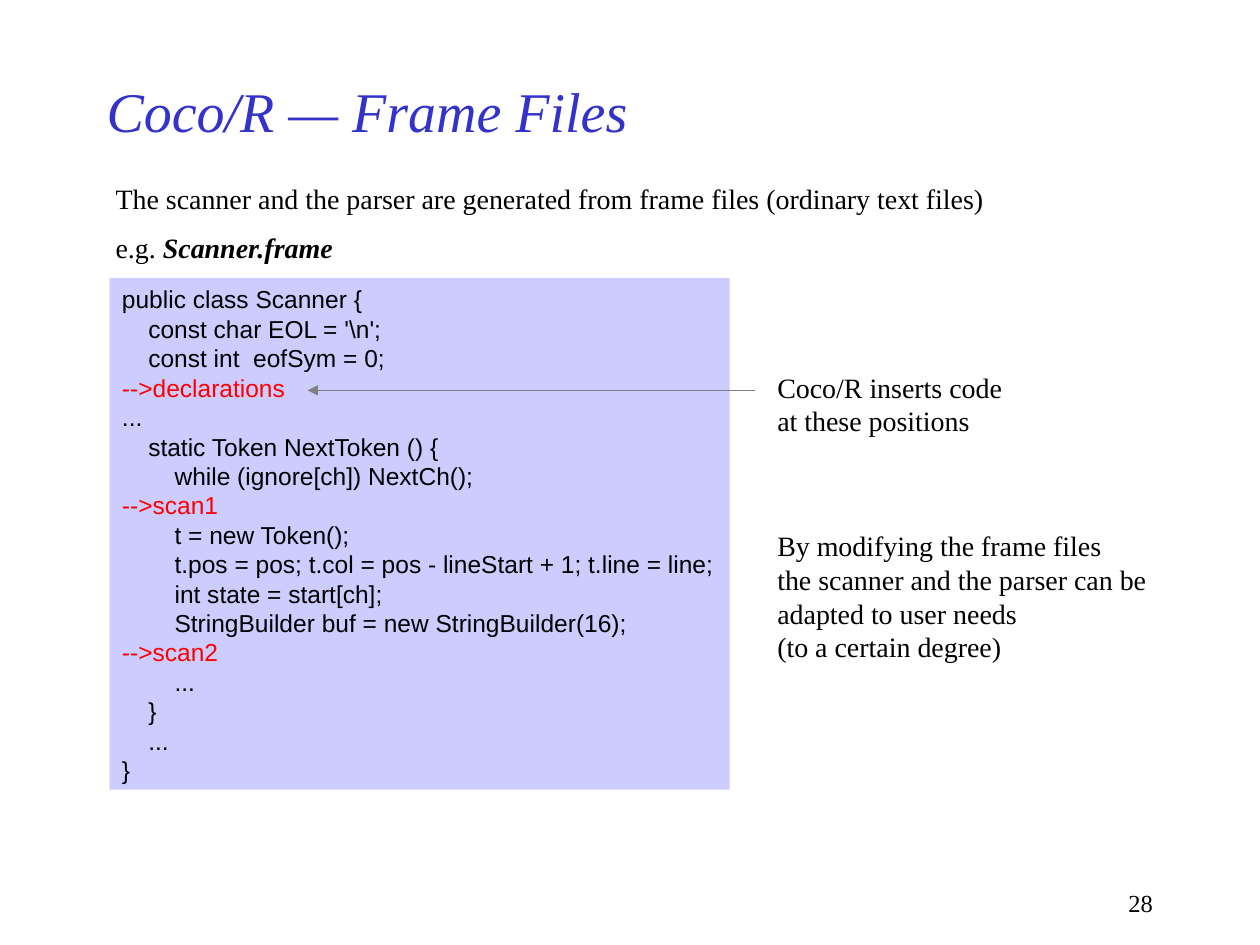
from lxml.etree import SubElement
from pptx import Presentation
from pptx.dml.color import RGBColor
from pptx.enum.shapes import MSO_CONNECTOR, MSO_SHAPE
from pptx.enum.text import MSO_ANCHOR, PP_ALIGN
from pptx.oxml.ns import qn
from pptx.util import Cm, Pt

BLACK = RGBColor(0x00, 0x00, 0x00)
BLUE = RGBColor(0x33, 0x33, 0xCC)
LAVENDER = RGBColor(0xCC, 0xCC, 0xFF)
RED = RGBColor(0xFF, 0x00, 0x00)
GRAY = RGBColor(0x80, 0x80, 0x80)
SERIF = "Times New Roman"
SANS = "Arial"

CODE = r"""public class Scanner {
	const char EOL = '\n';
	const int  eofSym = 0;
-->declarations
...
	static Token NextToken () {
		while (ignore[ch]) NextCh();
-->scan1
		t = new Token();
		t.pos = pos; t.col = pos - lineStart + 1; t.line = line; 
		int state = start[ch];
		StringBuilder buf = new StringBuilder(16);
-->scan2
		...
	}
	...
}""".split("\n")


def style(para, size, color=BLACK, name=SERIF):
    font = para.font
    font.size, font.name, font.color.rgb = Pt(size), name, color


def add_lines(frame, lines):
    """Fill a frame with one paragraph per line and return the paragraphs."""
    for index, line in enumerate(lines):
        para = frame.paragraphs[0] if index == 0 else frame.add_paragraph()
        para.alignment = PP_ALIGN.LEFT
        para.add_run().text = line
    return frame.paragraphs


def add_text(page, left, top, width, height, lines, size=16, color=BLACK, wrap=False):
    box = page.shapes.add_textbox(left, top, width, height)
    box.text_frame.word_wrap = wrap
    for para in add_lines(box.text_frame, lines):
        style(para, size, color)
    return box.text_frame


def add_title(page, left, top, width, height):
    frame = add_text(page, left, top, width, height,
                     ["Coco/R — Frame Files"], 32, BLUE, wrap=True)
    frame.vertical_anchor = MSO_ANCHOR.MIDDLE
    frame.paragraphs[0].font.italic = True


def add_intro(page, left, top):
    add_text(page, left, top, Cm(18.11), Cm(0.94),
             ["The scanner and the parser are generated from frame files (ordinary text files)"])
    example = add_text(page, left, top + Cm(0.99), Cm(4.93), Cm(0.94), ["e.g. "])
    span = example.paragraphs[0].add_run()
    span.text = "Scanner.frame"
    span.font.bold = span.font.italic = True


def add_code(page, left, top, width, height):
    box = page.shapes.add_shape(MSO_SHAPE.RECTANGLE, left, top, width, height)
    box.shadow.inherit = False
    box.fill.solid()
    box.fill.fore_color.rgb = LAVENDER
    box.line.fill.background()
    frame = box.text_frame
    frame.word_wrap = False
    frame.vertical_anchor = MSO_ANCHOR.TOP
    for para, line in zip(add_lines(frame, CODE), CODE):
        # Tab stops at equal steps for the code indents
        tabs = SubElement(para._p.get_or_add_pPr(), qn("a:tabLst"))
        for step in range(1, 5):
            SubElement(tabs, qn("a:tab"), pos=str(Cm(0.53) * step), algn="l")
        style(para, 14, RED if line.startswith("-->") else BLACK, SANS)


def add_notes(page, left, top):
    """Two remarks, with an arrow from the first one into the code."""
    add_text(page, left, top, Cm(5.05), Cm(1.63),
             ["Coco/R inserts code", "at these positions"])
    add_text(page, left, top + Cm(3.2), Cm(7.98), Cm(2.97),
             ["By modifying the frame files", "the scanner and the parser can be",
              "adapted to user needs ", "(to a certain degree)"])
    height = top + Cm(0.53)
    arrow = page.shapes.add_connector(MSO_CONNECTOR.STRAIGHT, left - Cm(0.2), height,
                                      left - Cm(9.22), height)
    arrow.line.color.rgb = GRAY
    arrow.line.width = Pt(0.75)
    SubElement(arrow.line._get_or_add_ln(), qn("a:tailEnd"), type="triangle")
    SubElement(arrow._element.spPr, qn("a:effectLst"))


def add_page_number(page, left, top, width, height):
    frame = add_text(page, left, top, width, height, ["28"], 14, wrap=True)
    frame.paragraphs[0].alignment = PP_ALIGN.RIGHT


deck = Presentation()
deck.slide_width, deck.slide_height = Cm(25.4), Cm(19.05)
page = deck.slides.add_slide(deck.slide_layouts[6])

add_title(page, Cm(1.9), Cm(1.27), Cm(19.05), Cm(1.9))
add_intro(page, Cm(2.08), Cm(3.53))
add_code(page, Cm(2.21), Cm(5.61), Cm(12.5), Cm(10.31))
add_notes(page, Cm(15.42), Cm(7.34))
add_page_number(page, Cm(18.21), Cm(17.78), Cm(5.28), Cm(0.84))

deck.save("out.pptx")
